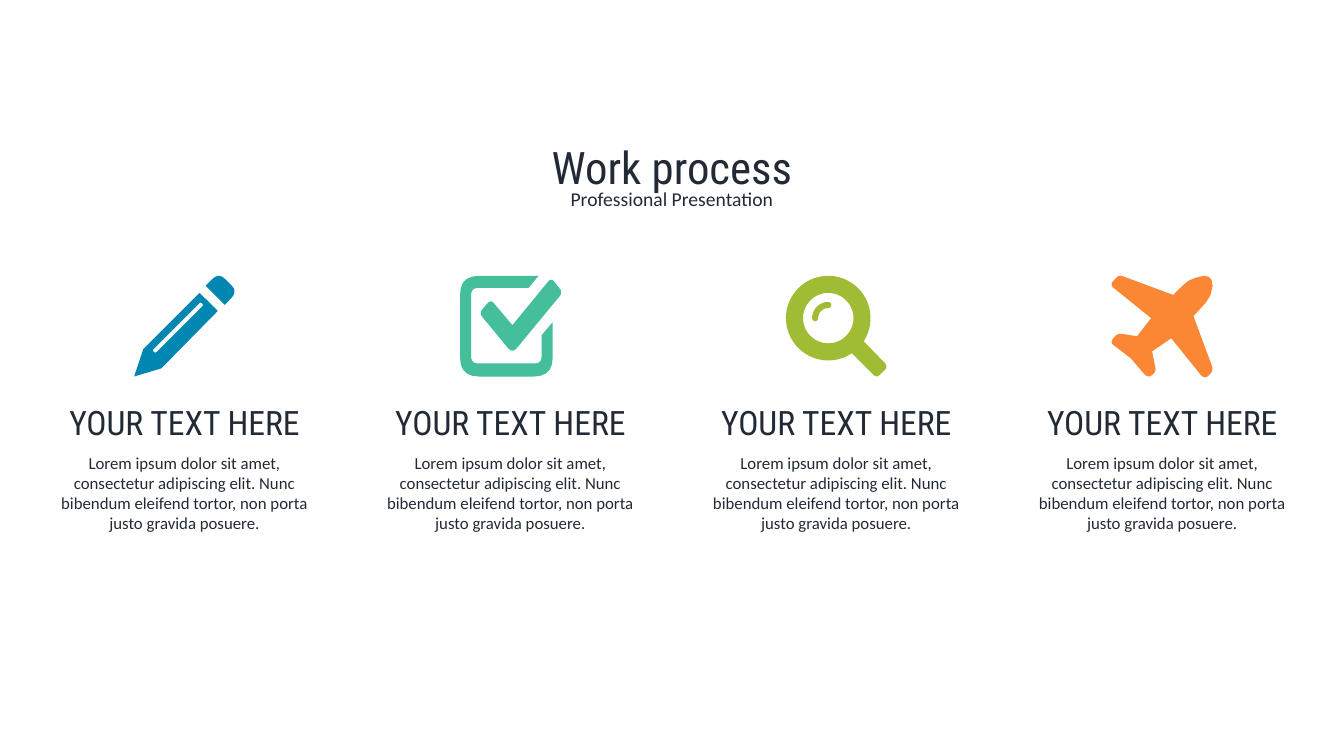
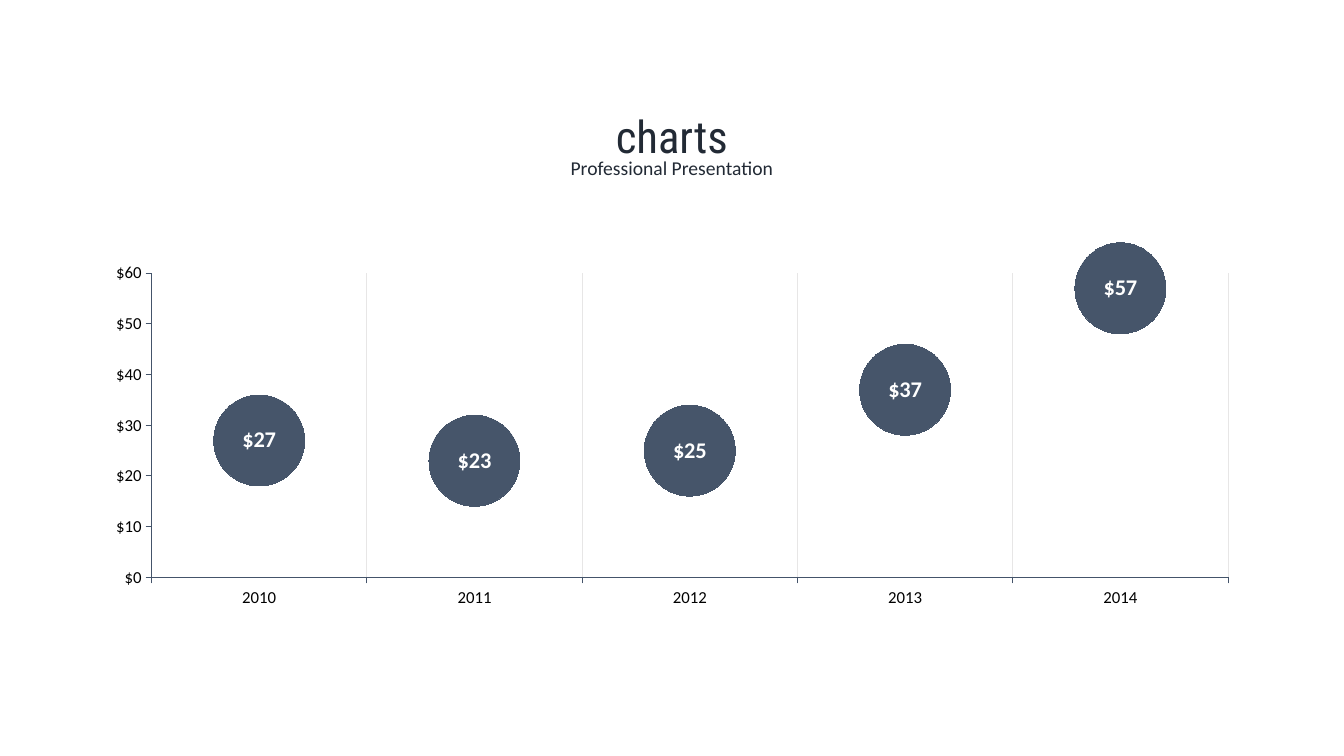
"""Build a work process slide and a chart slide."""
from math import cos, dist, radians, sin

from lxml.etree import SubElement
from pptx import Presentation
from pptx.chart.data import CategoryChartData
from pptx.dml.color import RGBColor
from pptx.enum.chart import XL_CHART_TYPE, XL_LABEL_POSITION, XL_MARKER_STYLE
from pptx.enum.text import MSO_ANCHOR, MSO_AUTO_SIZE, PP_ALIGN
from pptx.oxml.ns import qn
from pptx.util import Pt

INK = RGBColor(0x22, 0x2A, 0x35)
BLUE = RGBColor(0x00, 0x87, 0xB1)
TEAL = RGBColor(0x45, 0xBE, 0x9B)
LIME = RGBColor(0xA0, 0xBC, 0x34)
ORANGE = RGBColor(0xFB, 0x87, 0x34)
SLATE = RGBColor(0x46, 0x55, 0x6A)
AXIS = RGBColor(0x44, 0x54, 0x6A)
GRID = RGBColor(0xE7, 0xE6, 0xE6)
BLACK = RGBColor(0, 0, 0)
WHITE = RGBColor(255, 255, 255)
HEAD, BODY = "Roboto Condensed", "Calibri"
MONEY = "[$$-C09]#,##0"
LOREM = ("Lorem ipsum dolor sit amet, consectetur adipiscing elit. "
         "Nunc bibendum eleifend tortor, non porta justo gravida posuere.")


def write(box, text, left, top, width, height, font, size):
    """Place a box and fill it with centred text."""
    box.left, box.top = Pt(left), Pt(top)
    box.width, box.height = Pt(width), Pt(height)
    frame = box.text_frame
    frame.text = text
    frame.word_wrap = True
    frame.auto_size = MSO_AUTO_SIZE.NONE
    frame.vertical_anchor = MSO_ANCHOR.TOP
    line = frame.paragraphs[0]
    line.alignment = PP_ALIGN.CENTER
    run = line.runs[0].font
    run.name, run.size, run.color.rgb = font, Pt(size), INK


def arc(mid, reach, start, end):
    """List points along an arc, in steps of a tenth of its sweep or less."""
    count = max(10, abs(end - start) // 6)
    turns = [radians(start + (end - start) * i / count) for i in range(count + 1)]
    return [(mid[0] + reach * cos(t), mid[1] + reach * sin(t)) for t in turns]


pencil = [
    [(83, 35), (27, 92), (0, 100), (9, 73), (65, 17)],
    [(66, 26, 2), (69, 29, 2), (21, 77, 2), (18, 74, 2)],
    [(90, 29), (71, 10), (84, -3, 8.5), (102.5, 15.5, 8)],
]
check = [
    [(81, 59), (92, 46), (92, 100, 19), (0, 100, 19), (0, 0, 19),
     (78, 0), (68, 12), (11, 12, 7), (11, 87, 7), (81, 87, 7)],
    [(90.5, 2, 5), (102, 16.5, 5), (52, 77, 7), (19, 37, 5),
     (30.5, 23.5, 5), (52, 49)],
]
hub = (42, 42)
lens = [
    arc(hub, 42, 56, 393) + [(101.5, 90, 5), (90, 101.5, 5)],
    arc(hub, 25, 0, 360),
    arc(hub, 16, 180, 270) + arc((42, 29), 3, 270, 450)
    + arc(hub, 10, 270, 180) + arc((29, 42), 3, 0, 180),
]
plane = [
    [(101, 94, 5), (92, 103, 6), (59, 62), (40, 75), (44, 95, 4), (36, 102, 6),
     (19, 82), (-2, 66, 5), (6, 57, 4), (25, 60), (39, 42), (-2, 9, 5),
     (7, -1, 4), (61, 19), (70, 10), (76, 5), (83, 2), (91, 0), (96, 1),
     (99, 4), (100, 10), (98, 19), (93, 27), (81, 40)],
]

deck = Presentation()
deck.slide_width, deck.slide_height = Pt(960), Pt(540)

slides = []
for title, top in [("Work process", 96), ("charts", 74)]:
    slide = deck.slides.add_slide(deck.slide_layouts[5])
    write(slide.shapes.title, title, 63.5, top, 833, 46, HEAD, 32)
    box = slide.shapes.add_textbox(0, 0, 0, 0)
    write(box, "Professional Presentation", 63.5, top + 34, 833, 24, BODY, 14)
    slides.append(slide)
work, trend = slides

icons = [(pencil, BLUE), (check, TEAL), (lens, LIME), (plane, ORANGE)]
for col, (icon, color) in enumerate(icons):
    left = 27.4 + 232.8 * col
    outlines = []
    for points in icon:
        outline = []
        for i, (x, y, *cut) in enumerate(points):
            if not cut:
                outline.append((x * 10, y * 10))
                continue
            ends = []
            for near in (points[i - 1], points[(i + 1) % len(points)]):
                part = cut[0] / dist((x, y), near[:2])
                ends.append((x + (near[0] - x) * part, y + (near[1] - y) * part))
            (ax, ay), (bx, by) = ends
            for t in (0, 0.2, 0.4, 0.6, 0.8, 1):
                a, m, b = (1 - t) ** 2, 2 * t * (1 - t), t * t
                outline.append(((a * ax + m * x + b * bx) * 10,
                                (a * ay + m * y + b * by) * 10))
        outlines.append(outline)
    pen = work.shapes.build_freeform(*outlines[0][0], scale=Pt(0.072))
    pen.add_line_segments(outlines[0][1:])
    for outline in outlines[1:]:
        pen.move_to(*outline[0])
        pen.add_line_segments(outline[1:])
    shape = pen.convert_to_shape(Pt(left + 68.4), Pt(197))
    shape.shadow.inherit = False
    shape.fill.solid()
    shape.fill.fore_color.rgb = color
    shape.line.fill.background()
    for text, top, height, font, size in [
        ("YOUR TEXT HERE", 283.7, 36, HEAD, 24),
        (LOREM, 319.7, 65.5, BODY, 12),
    ]:
        box = work.shapes.add_textbox(0, 0, 0, 0)
        write(box, text, left, top, 208.8, height, font, size)

data = CategoryChartData(number_format=MONEY)
data.categories = ["2010", "2011", "2012", "2013", "2014"]
data.add_series("Series 1", [27, 23, 25, 37, 57])
chart = trend.shapes.add_chart(XL_CHART_TYPE.LINE_MARKERS, Pt(82), Pt(167),
                               Pt(795.6), Pt(267.8), data).chart
chart.has_legend = chart.has_title = False
chart.font.name, chart.font.size = BODY, Pt(18)
chart.font.color.rgb = BLACK

dates, costs = chart.category_axis, chart.value_axis
for axis in (dates, costs):
    axis.format.line.color.rgb = AXIS
    axis.format.line.width = Pt(0.75)
    font = axis.tick_labels.font
    font.name, font.size, font.color.rgb = BODY, Pt(12), BLACK
dates.has_major_gridlines = True
dates.major_gridlines.format.line.color.rgb = GRID
dates.major_gridlines.format.line.width = Pt(0.75)
costs.has_major_gridlines = False
costs.minimum_scale, costs.maximum_scale, costs.major_unit = 0, 60, 10
costs.tick_labels.number_format = MONEY
costs.tick_labels.number_format_is_linked = False

plot = chart.plots[0]
plot.vary_by_categories = False
row = plot.series[0]
row.smooth = False
row.format.line.fill.background()
dot = row.marker
dot.style, dot.size = XL_MARKER_STYLE.CIRCLE, 65
dot.format.fill.solid()
dot.format.fill.fore_color.rgb = SLATE
dot.format.line.fill.background()
labels = row.data_labels
labels.show_value = True
labels.position = XL_LABEL_POSITION.CENTER
labels.number_format, labels.number_format_is_linked = MONEY, False
font = labels.font
font.name, font.size, font.bold, font.color.rgb = BODY, Pt(16), True, WHITE

area = chart.element.find(".//" + qn("c:plotArea"))
for old in area.findall(qn("c:layout")):
    area.remove(old)
layout = SubElement(area, qn("c:layout"))
area.insert(0, layout)
manual = SubElement(layout, qn("c:manualLayout"))
for tag, value in [("layoutTarget", "inner"), ("xMode", "edge"), ("yMode", "edge"),
                   ("x", "0.033"), ("y", "0.105"), ("w", "0.967"), ("h", "0.812")]:
    SubElement(manual, qn("c:" + tag)).set("val", value)

deck.save("out.pptx")
